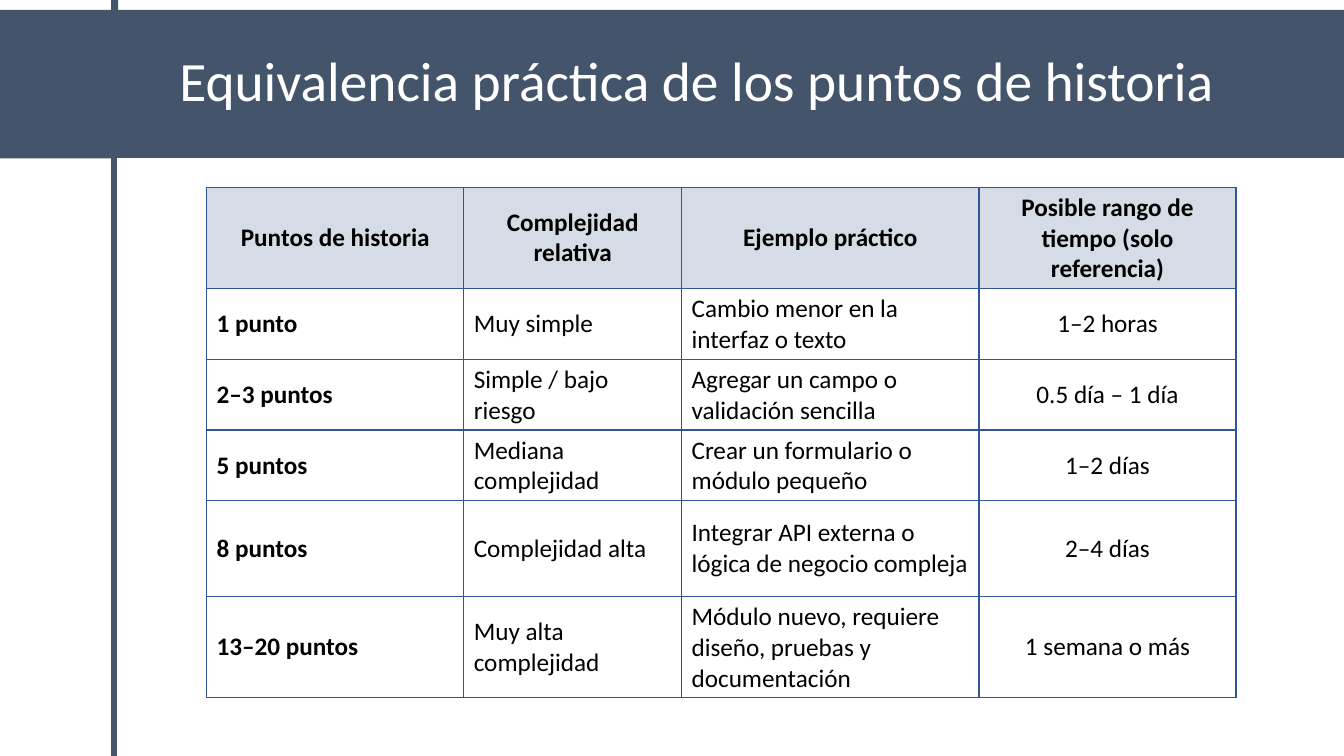
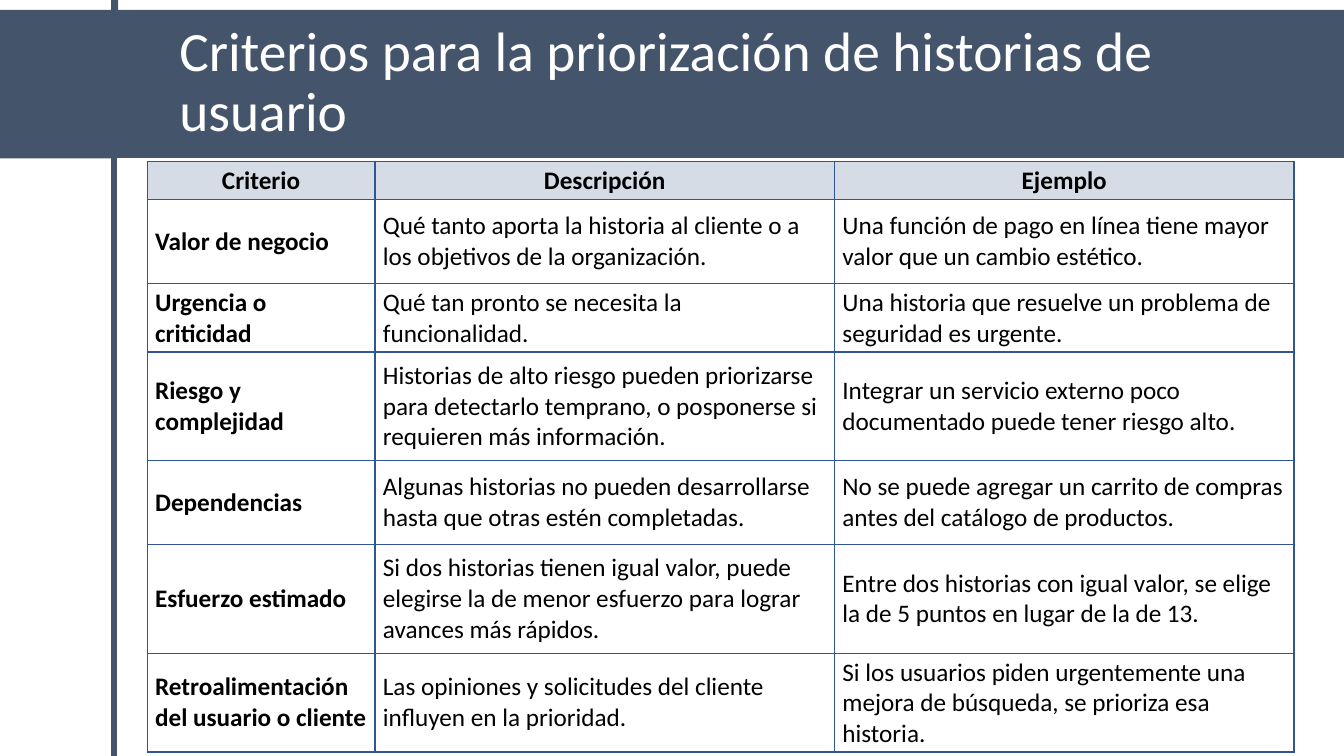
from lxml.etree import SubElement
from pptx import Presentation
from pptx.dml.color import RGBColor
from pptx.enum.shapes import MSO_SHAPE
from pptx.enum.text import MSO_ANCHOR, PP_ALIGN
from pptx.oxml.ns import qn
from pptx.util import Cm, Pt

SLIDE_WIDTH, SLIDE_HEIGHT = 33.87, 19.05
BLANK_LAYOUT = 6

POINTS_ROWS = [
    ("Puntos de historia", "Complejidad relativa", "Ejemplo práctico",
     "Posible rango de tiempo (solo referencia)"),
    ("1 punto", "Muy simple", "Cambio menor en la interfaz o texto", "1–2 horas"),
    ("2–3 puntos", "Simple / bajo riesgo", "Agregar un campo o validación sencilla",
     "0.5 día – 1 día"),
    ("5 puntos", "Mediana complejidad", "Crear un formulario o módulo pequeño", "1–2 días"),
    ("8 puntos", "Complejidad alta", "Integrar API externa o lógica de negocio compleja",
     "2–4 días"),
    ("13–20 puntos", "Muy alta complejidad",
     "Módulo nuevo, requiere diseño, pruebas y documentación", "1 semana o más"),
]

CRITERIA_ROWS = [
    ("Criterio", "Descripción", "Ejemplo"),
    ("Valor de negocio",
     "Qué tanto aporta la historia al cliente o a los objetivos de la organización.",
     "Una función de pago en línea tiene mayor valor que un cambio estético."),
    ("Urgencia o criticidad",
     "Qué tan pronto se necesita la funcionalidad.",
     "Una historia que resuelve un problema de seguridad es urgente."),
    ("Riesgo y complejidad",
     "Historias de alto riesgo pueden priorizarse para detectarlo temprano, "
     "o posponerse si requieren más información.",
     "Integrar un servicio externo poco documentado puede tener riesgo alto."),
    ("Dependencias",
     "Algunas historias no pueden desarrollarse hasta que otras estén completadas.",
     "No se puede agregar un carrito de compras antes del catálogo de productos."),
    ("Esfuerzo estimado",
     "Si dos historias tienen igual valor, puede elegirse la de menor esfuerzo "
     "para lograr avances más rápidos.",
     "Entre dos historias con igual valor, se elige la de 5 puntos en lugar de la de 13."),
    ("Retroalimentación del usuario o cliente",
     "Las opiniones y solicitudes del cliente influyen en la prioridad.",
     "Si los usuarios piden urgentemente una mejora de búsqueda, se prioriza esa historia."),
]


def color(hex_value):
    return RGBColor.from_string(hex_value)


def apply_format(target, values):
    for name, value in values.items():
        setattr(target, name, value)


class Deck:
    SLATE, WHITE, BLACK = "44546A", "FFFFFF", "000000"
    HEADER_FILL, GRID = "D6DCE5", "2F5597"
    TITLE_FONT = {"name": "Calibri", "size": Pt(39.6)}
    CELL_FONT = {"name": "Calibri", "size": Pt(18)}

    def __init__(self):
        self.presentation = Presentation()
        apply_format(self.presentation, {"slide_width": Cm(SLIDE_WIDTH),
                                         "slide_height": Cm(SLIDE_HEIGHT)})
        self.slide = None

    def start_slide(self, title):
        layout = self.presentation.slide_layouts[BLANK_LAYOUT]
        self.slide = self.presentation.slides.add_slide(layout)
        self.rectangle(0, 0.25, SLIDE_WIDTH, 3.74, self.SLATE)
        self.rectangle(2.8, 0, 0.18, SLIDE_HEIGHT, self.SLATE)
        self.rectangle(2.97, 3.99, SLIDE_WIDTH - 2.97, SLIDE_HEIGHT - 3.99,
                       self.WHITE, self.WHITE)
        self.title(title)

    def rectangle(self, left, top, width, height, fill, line=None):
        shape = self.slide.shapes.add_shape(
            MSO_SHAPE.RECTANGLE, Cm(left), Cm(top), Cm(width), Cm(height))
        shape.shadow.inherit = False
        shape.fill.solid()
        shape.fill.fore_color.rgb = color(fill)
        if line:
            shape.line.color.rgb = color(line)
            shape.line.width = Pt(1)
        else:
            shape.line.fill.background()

    def title(self, text):
        frame = self.slide.shapes.add_textbox(
            Cm(4.27), Cm(0.66), Cm(27.81), Cm(2.87)).text_frame
        apply_format(frame, {"word_wrap": True, "vertical_anchor": MSO_ANCHOR.MIDDLE})
        paragraph = frame.paragraphs[0]
        paragraph.line_spacing = 0.9
        self.add_text(paragraph, text, self.TITLE_FONT, self.WHITE)

    def add_text(self, paragraph, text, font_format, text_color):
        run = paragraph.add_run()
        run.text = text
        apply_format(run.font, font_format)
        run.font.color.rgb = color(text_color)

    def table(self, left, top, widths, heights, rows, margins, centered_columns=()):
        """Bold header row and first column; margins are (horizontal, vertical)."""
        table = self.slide.shapes.add_table(
            len(rows), len(widths), Cm(left), Cm(top),
            Cm(sum(widths)), Cm(sum(heights))).table
        table.horz_banding = False
        for column, width in zip(table.columns, widths):
            column.width = Cm(width)
        for row, height in zip(table.rows, heights):
            row.height = Cm(height)
        for row_index, texts in enumerate(rows):
            for column_index, text in enumerate(texts):
                is_header = row_index == 0
                self.cell(table.cell(row_index, column_index), text, margins, is_header,
                          bold=is_header or column_index == 0,
                          centered=is_header or column_index in centered_columns)

    def cell(self, cell, text, margins, is_header, bold, centered):
        horizontal, vertical = map(Cm, margins)
        apply_format(cell, {"margin_left": horizontal, "margin_right": horizontal,
                            "margin_top": vertical, "margin_bottom": vertical,
                            "vertical_anchor": MSO_ANCHOR.MIDDLE})
        self.borders(cell)
        if is_header:
            cell.fill.solid()
            cell.fill.fore_color.rgb = color(self.HEADER_FILL)
        else:
            cell.fill.background()
        paragraph = cell.text_frame.paragraphs[0]
        paragraph.alignment = PP_ALIGN.CENTER if centered else PP_ALIGN.LEFT
        self.add_text(paragraph, text, {**self.CELL_FONT, "bold": bold}, self.BLACK)

    def borders(self, cell):
        properties = cell._tc.get_or_add_tcPr()
        for side in ("a:lnL", "a:lnR", "a:lnT", "a:lnB"):
            line = SubElement(properties, qn(side), w=str(Pt(1)))
            fill = SubElement(line, qn("a:solidFill"))
            SubElement(fill, qn("a:srgbClr"), val=self.GRID)


def main():
    deck = Deck()

    deck.start_slide("Equivalencia práctica de los puntos de historia")
    deck.table(5.21, 4.72, [6.48, 5.49, 7.49, 6.48], [1.7] * 4 + [2.41] * 2,
               POINTS_ROWS, margins=(0.25, 0.13), centered_columns=(3,))

    deck.start_slide("Criterios para la priorización de historias de usuario")
    deck.table(3.71, 4.06, [5.74, 11.58, 11.58],
               [0.97, 2.11, 1.73, 2.74, 2.11, 2.74, 2.49],
               CRITERIA_ROWS, margins=(0.2, 0.1))

    deck.presentation.save("out.pptx")


if __name__ == "__main__":
    main()
